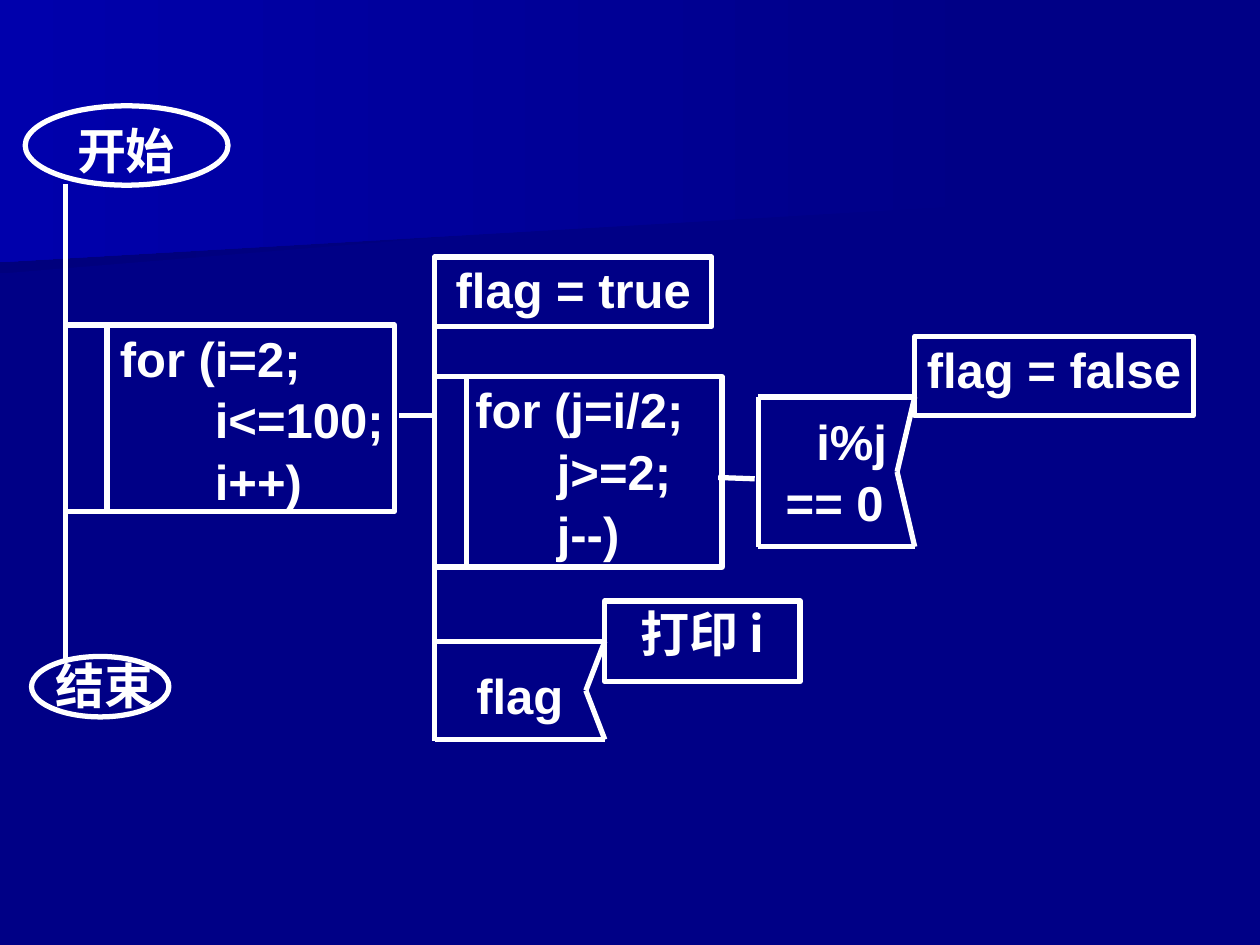
from itertools import pairwise

from lxml import etree
from pptx import Presentation
from pptx.dml.color import RGBColor
from pptx.enum.shapes import MSO_CONNECTOR, MSO_SHAPE
from pptx.enum.text import MSO_ANCHOR, PP_ALIGN
from pptx.oxml.ns import qn
from pptx.util import Inches, Pt

LEFT, CENTER, JUSTIFY = PP_ALIGN.LEFT, PP_ALIGN.CENTER, PP_ALIGN.JUSTIFY
RECT, OVAL = MSO_SHAPE.RECTANGLE, MSO_SHAPE.OVAL
STRAIGHT = MSO_CONNECTOR.STRAIGHT
TOP = MSO_ANCHOR.TOP

NAVY, WHITE = "000086", "FFFFFF"
LATIN, CJK = "Arial", "Noto Sans CJK SC"
STROKE = Pt(3)
MAIN_X, BODY_X, TEST_X, TEST_RIGHT = 0.52, 3.45, 6.02, 7.26


def rgb(value):
    return RGBColor.from_string(value)


def inches(*values):
    return [Inches(v) for v in values]


def outline(shape):
    shape.line.color.rgb = rgb(WHITE)
    shape.line.width = STROKE


def write(shape, text, align, font=LATIN):
    tf = shape.text_frame
    tf.margin_left = tf.margin_right = tf.margin_top = tf.margin_bottom = 0
    tf.word_wrap = True
    tf.vertical_anchor = TOP
    tf.text = text
    for p in tf.paragraphs:
        p.alignment = align
        p.line_spacing = 1.05
        for r in p.runs:
            r.font.size = Pt(28)
            r.font.bold = True
            r.font.name = font
            r.font.color.rgb = rgb(WHITE)
            ea = etree.SubElement(r.font._element, qn("a:ea"))
            ea.set("typeface", CJK)


def label(s, text, box, align=CENTER):
    write(s.shapes.add_textbox(*inches(*box)), text, align)


def frame(s, kind, box, text="", align=CENTER, font=LATIN):
    sp = s.shapes.add_shape(kind, *inches(*box))
    sp.shadow.inherit = False
    sp.fill.background()
    outline(sp)
    if text:
        write(sp, text, align, font)


def line(s, start, end):
    cx = s.shapes.add_connector(STRAIGHT, *inches(*start, *end))
    outline(cx)
    etree.SubElement(cx._element.spPr, qn("a:effectLst"))


def backdrop(s, points, far_color):
    """Polygon that fades leftwards from the background to far_color."""
    first, *rest = [inches(*point) for point in points]
    builder = s.shapes.build_freeform(*first)
    builder.add_line_segments(rest, close=True)
    sp = builder.convert_to_shape()
    sp.shadow.inherit = False
    sp.line.fill.background()
    sp.fill.gradient()
    sp.fill.gradient_angle = 180
    for stop, color in zip(sp.fill.gradient_stops, (NAVY, far_color)):
        stop.color.rgb = rgb(color)


def loop_box(s, box, bar, text):
    """Box of a loop, with a bar inside its left edge."""
    left, top, _, height = box
    frame(s, RECT, box, text, LEFT)
    line(s, (left + bar, top), (left + bar, top + height))


def condition(s, left, top, right, bottom, notch):
    """Box of a test, with its right edge notched inwards."""
    corners = [(right, top), (left, top), (left, bottom), (right, bottom),
               (right - notch, (top + bottom) / 2), (right, top)]
    for start, end in pairwise(corners):
        line(s, start, end)


def terminal(s, text, oval, text_box):
    label(s, text, text_box)
    frame(s, OVAL, oval)


def main():
    prs = Presentation()
    prs.slide_width, prs.slide_height = inches(10, 7.5)
    s = prs.slides.add_slide(prs.slide_layouts[6])
    s.background.fill.solid()
    s.background.fill.fore_color.rgb = rgb(NAVY)

    backdrop(s, [(7.78, 1.53), (0, 2.17), (0, 1.01), (7.79, 1.01)], "00007D")
    backdrop(s, [(7.92, 1.62), (0, 2.08), (0, 0), (7.92, 0)], "0000AC")

    # Main flow
    line(s, (MAIN_X, 1.46), (MAIN_X, 5.25))
    terminal(s, "开始", (0.2, 0.84, 1.61, 0.63), (0.29, 0.93, 1.42, 0.43))
    terminal(s, "结束", (0.25, 5.21, 1.09, 0.48), (-0.14, 5.18, 1.94, 0.47))
    loop_box(s, (MAIN_X, 2.58, 2.61, 1.48), 0.33,
             "    for (i=2;\n           i<=100;\n           i++)")
    line(s, (3.17, 3.3), (BODY_X, 3.3))

    # Body of the outer loop
    line(s, (BODY_X, 2.03), (BODY_X, 5.88))
    frame(s, RECT, (BODY_X, 2.04, 2.2, 0.55), "flag = true")
    loop_box(s, (BODY_X, 2.99, 2.28, 1.51), 0.25,
             "   for (j=i/2;\n         j>=2;\n         j--)")
    frame(s, RECT, (4.8, 4.77, 1.55, 0.64), "打印 i", font=CJK)
    label(s, "flag", (BODY_X, 5.26, 1.35, 0.45))
    condition(s, BODY_X, 5.09, 4.8, 5.87, 0.15)

    # Body of the inner loop
    line(s, (5.7, 3.79), (5.99, 3.8))
    frame(s, RECT, (TEST_RIGHT, 2.67, 2.21, 0.63), "flag = false")
    label(s, "  i%j \v  == 0", (TEST_X, 3.24, 1.25, 0.91), JUSTIFY)
    condition(s, TEST_X, 3.15, TEST_RIGHT, 4.34, 0.14)

    prs.save("out.pptx")


if __name__ == "__main__":
    main()
